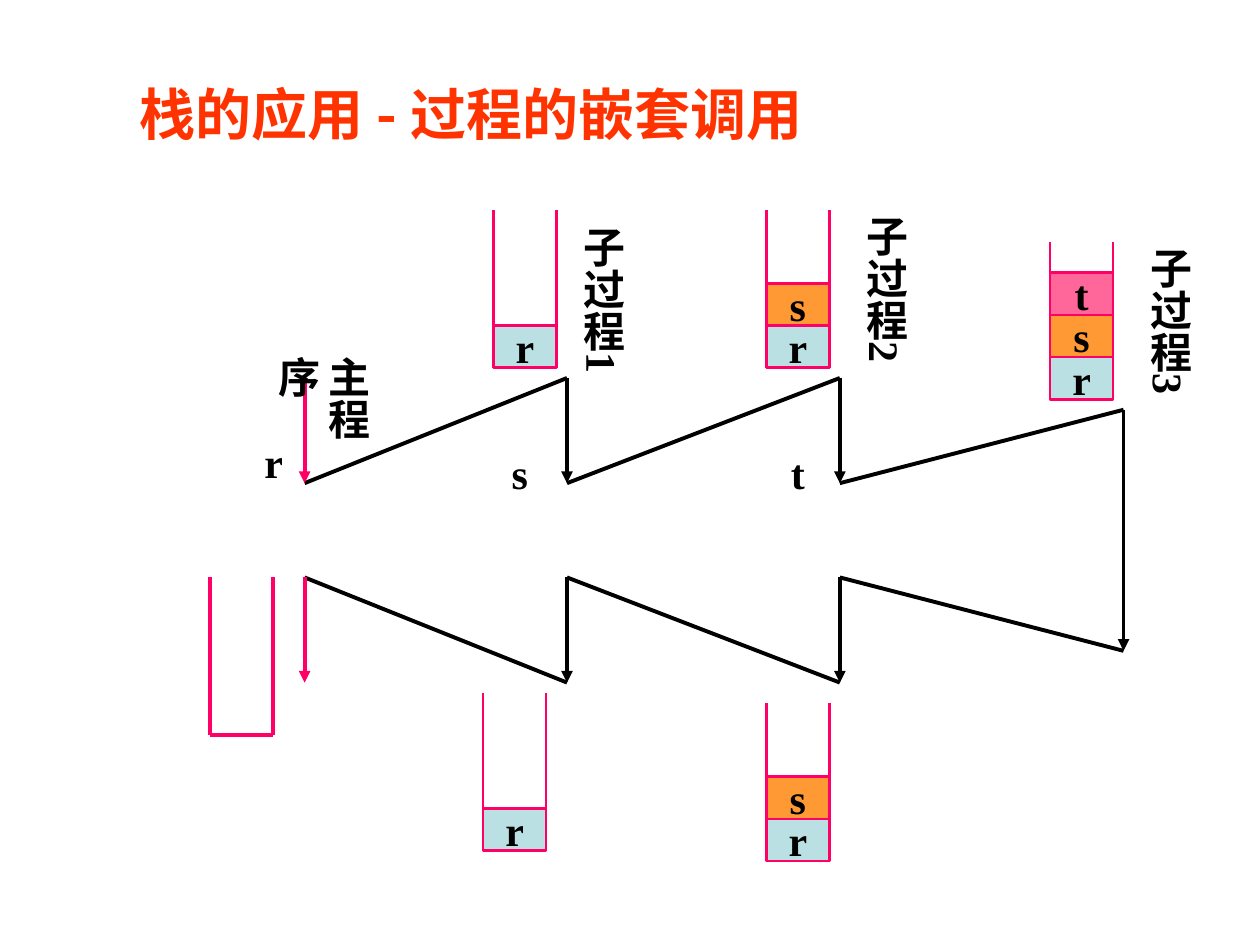
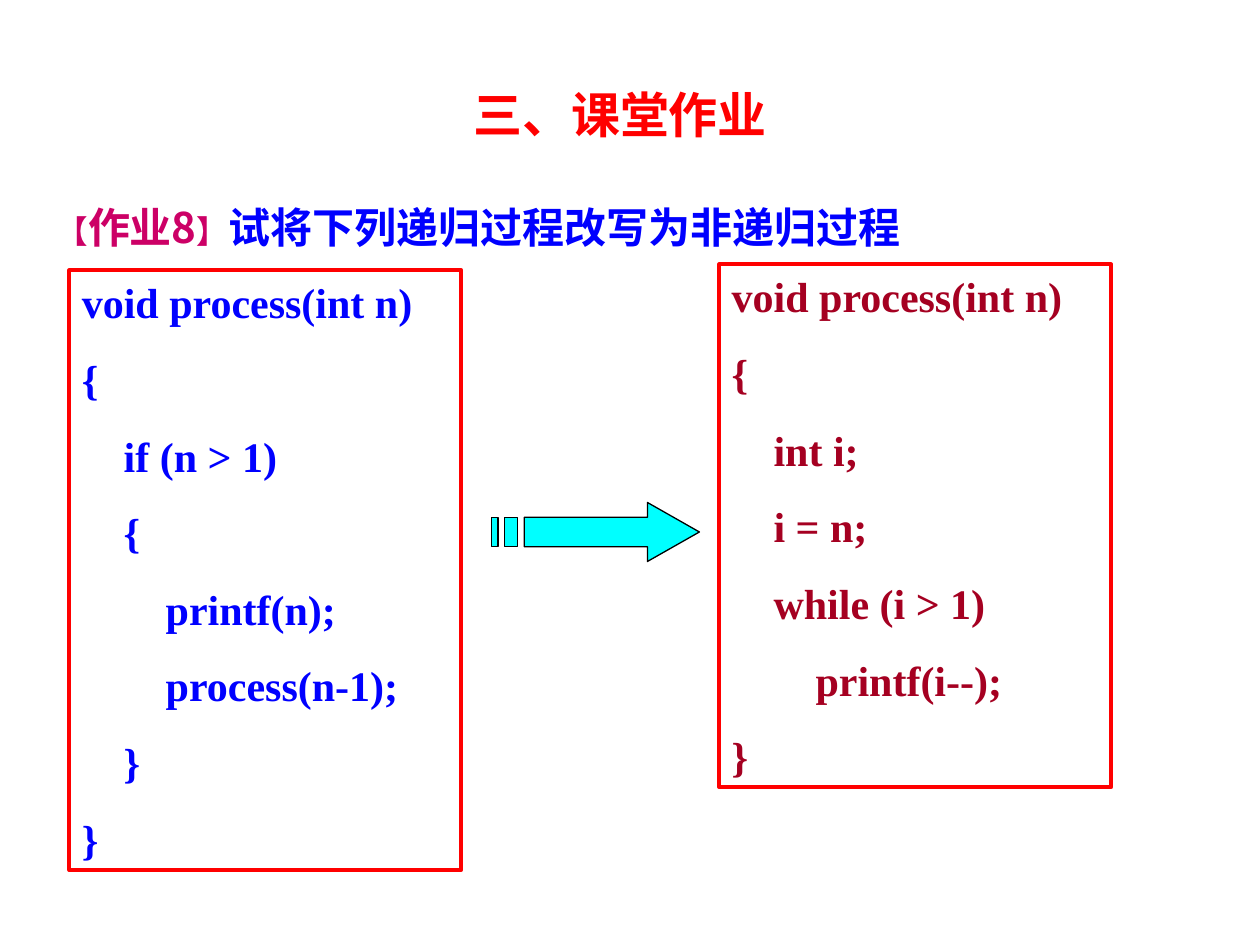
from lxml import etree
from pptx import Presentation
from pptx.dml.color import RGBColor
from pptx.enum import shapes, text
from pptx.oxml.ns import qn
from pptx.util import Cm, Pt

COLOURS = {
    "black": "000000", "rail": "FF0066", "heading": "FF3300", "red": "FF0000",
    "tag": "CC0066", "blue": "0000FF", "crimson": "A50021", "cyan": "00FFFF",
    "r": "BBE0E3", "s": "FF9933", "t": "FF6699",
}
SERIF, SANS = "Times New Roman", "Noto Sans CJK SC"
TITLE_ONLY = 5
CODE_GAP = Pt(15)
CENTER = text.PP_ALIGN.CENTER
LEFT = text.PP_ALIGN.LEFT

# Centimetres: time lines of the main program and the three procedures
MAIN, PROC1, PROC2, PROC3 = 6.14, 11.43, 16.93, 22.65
CALL_TOP, CALL_END = 7.62, 9.74
RETURN_TOP, RETURN_END = 11.64, 13.76
DEEP_TOP, DEEP_END = 8.26, 13.12
STACK_W, STACK_H, CELL_H = 1.27, 3.18, 0.85

RECURSIVE = """void process(int n)
{
    if (n > 1)
    {
        printf(n);
        process(n-1);
    }
}"""
ITERATIVE = """void process(int n)
{
    int i;
    i = n;
    while (i > 1)
        printf(i--);
}"""


def rgb(name):
    return RGBColor.from_string(COLOURS[name])


def add_run(paragraph, words, size=24, colour="black", font=SERIF):
    run = paragraph.add_run()
    run.text = words
    run.font.size, run.font.bold, run.font.name = Pt(size), True, font
    run.font.color.rgb = rgb(colour)
    east_asian = etree.SubElement(run._r.get_or_add_rPr(), qn("a:ea"))
    east_asian.set("typeface", SANS)


def set_frame(frame, anchor=text.MSO_ANCHOR.TOP, wrap=True):
    frame.margin_left = frame.margin_right = Cm(0.25)
    frame.margin_top = frame.margin_bottom = Cm(0.13)
    frame.vertical_anchor, frame.word_wrap = anchor, wrap
    frame.auto_size = text.MSO_AUTO_SIZE.NONE


def set_title(slide, box, words, size, colour, align, indent=0.0):
    title = slide.shapes.title
    title.left, title.top, title.width, title.height = map(Cm, box)
    set_frame(title.text_frame)
    title.text_frame.margin_left = Cm(0.25 + indent)
    paragraph = title.text_frame.paragraphs[0]
    paragraph.alignment = align
    add_run(paragraph, words, size, colour, SANS)


def add_label(slide, box, words, align=LEFT, vertical=False):
    label = slide.shapes.add_textbox(*map(Cm, box))
    frame = label.text_frame
    set_frame(frame)
    if vertical:
        frame.margin_left = frame.margin_right = Cm(0.13)
        frame.margin_top = frame.margin_bottom = Cm(0.25)
        frame._txBody.bodyPr.set("vert", "eaVert")
    frame.auto_size = text.MSO_AUTO_SIZE.SHAPE_TO_FIT_TEXT
    frame.paragraphs[0].alignment = align
    add_run(frame.paragraphs[0], words)


def add_line(slide, start, end, colour="black", weight=2.25, arrow=False):
    line = slide.shapes.add_connector(
        shapes.MSO_CONNECTOR.STRAIGHT, *map(Cm, start + end))
    line.line.color.rgb = rgb(colour)
    line.line.width = Pt(weight)
    if arrow:
        head = etree.SubElement(line.line._get_or_add_ln(), qn("a:tailEnd"))
        head.set("type", "triangle")
    etree.SubElement(line._element.spPr, qn("a:effectLst"))


def add_stack(slide, left, top, items="", weight=1.5):
    """Draw an open-topped stack; items run from the bottom upwards."""
    right, bottom = left + STACK_W, top + STACK_H
    for x in (left, right):
        add_line(slide, (x, bottom), (x, top), "rail", weight)
    if not items:
        add_line(slide, (left, bottom), (right, bottom), "rail", weight)
    for level, item in enumerate(items, 1):
        cell = slide.shapes.add_shape(
            shapes.MSO_SHAPE.RECTANGLE, Cm(left), Cm(bottom - level * CELL_H),
            Cm(STACK_W), Cm(CELL_H))
        cell.shadow.inherit = False
        cell.fill.solid()
        cell.fill.fore_color.rgb = rgb(item)
        cell.line.color.rgb = rgb("rail")
        cell.line.width = Pt(weight)
        set_frame(cell.text_frame, text.MSO_ANCHOR.MIDDLE, wrap=False)
        cell.text_frame.paragraphs[0].alignment = CENTER
        add_run(cell.text_frame.paragraphs[0], item)


def add_call_flow(slide):
    """Draw the calls going right and the returns coming back left."""
    columns = (MAIN, PROC1, PROC2, PROC3)
    call_tops = (CALL_TOP, CALL_TOP, DEEP_TOP)
    return_ends = (RETURN_END, RETURN_END, DEEP_END)
    for caller, callee, top, end in zip(columns, columns[1:], call_tops, return_ends):
        add_line(slide, (caller, CALL_END), (callee, top))
        add_line(slide, (callee, end), (caller, RETURN_TOP))
    for x, colour in ((MAIN, "rail"), (PROC1, "black"), (PROC2, "black")):
        add_line(slide, (x, CALL_TOP), (x, CALL_END), colour, arrow=True)
        add_line(slide, (x, RETURN_TOP), (x, RETURN_END), colour, arrow=True)
    add_line(slide, (PROC3, DEEP_TOP), (PROC3, DEEP_END), arrow=True)


def add_procedure(slide, x, top, name, items, label_shift):
    """Place a procedure's stack and vertical name above its time line."""
    add_stack(slide, x - 1.48, top - 3.39, items)
    dx, dy = label_shift
    add_label(slide, (x + dx, top + dy, 1.52, 3.81), name, CENTER, vertical=True)


def nested_calls_slide(prs):
    slide = prs.slides.add_slide(prs.slide_layouts[TITLE_ONLY])
    set_title(slide, (1.3, 1.47, 23.62, 1.65), "栈的应用 - 过程的嵌套调用",
              32, "heading", LEFT, indent=1.27)
    add_call_flow(slide)
    add_label(slide, (MAIN, 6.93, 1.52, 2.97), "主程序", vertical=True)
    add_procedure(slide, PROC1, CALL_TOP, "子过程1", "r", (-0.15, -3.31))
    add_procedure(slide, PROC2, CALL_TOP, "子过程2", "rs", (0.05, -3.52))
    add_procedure(slide, PROC3, DEEP_TOP, "子过程3", "rst", (0.05, -3.52))
    add_label(slide, (5.08, 8.68, 0.85, 1.27), "r")
    add_label(slide, (9.74, 8.89, 1.48, 1.27), "s", CENTER)
    add_label(slide, (15.45, 8.89, 1.27, 1.27), "t", CENTER)
    add_stack(slide, 4.23, RETURN_TOP, weight=2.25)
    add_stack(slide, 9.74, 13.97, "r")
    add_stack(slide, 15.45, 14.18, "rs")


def add_code_box(slide, box, code, colour):
    panel = slide.shapes.add_shape(shapes.MSO_SHAPE.RECTANGLE, *map(Cm, box))
    panel.shadow.inherit = False
    panel.fill.background()
    panel.line.color.rgb = rgb("red")
    panel.line.width = Pt(2.25)
    frame = panel.text_frame
    set_frame(frame)
    for number, code_line in enumerate(code.split("\n")):
        paragraph = frame.add_paragraph() if number else frame.paragraphs[0]
        paragraph.alignment = LEFT
        if number:
            paragraph.space_before = CODE_GAP
        add_run(paragraph, code_line, colour=colour)


def add_striped_arrow(slide, left, top, width, height):
    shaft_top, shaft_bottom = height / 4, height * 3 / 4
    neck = width * 0.75

    def bar(start, end):
        return [(start, shaft_top), (end, shaft_top),
                (end, shaft_bottom), (start, shaft_bottom)]

    body = [(0.66, shaft_top), (neck, shaft_top), (neck, 0), (width, height / 2),
            (neck, height), (neck, shaft_bottom), (0.66, shaft_bottom)]
    outlines = [body, bar(0, 0.13), bar(0.26, 0.52)]
    builder = slide.shapes.build_freeform(
        Cm(body[0][0]), Cm(body[0][1]), scale=1.0)
    for number, outline in enumerate(outlines):
        points = [(Cm(x), Cm(y)) for x, y in outline]
        if number:
            builder.move_to(*points[0])
        builder.add_line_segments(points[1:], close=True)
    arrow = builder.convert_to_shape(Cm(left), Cm(top))
    arrow.shadow.inherit = False
    arrow.fill.solid()
    arrow.fill.fore_color.rgb = rgb("cyan")
    arrow.line.color.rgb = rgb("black")
    arrow.line.width = Pt(0.75)


def add_task(slide, box):
    task = slide.shapes.add_textbox(*map(Cm, box))
    set_frame(task.text_frame)
    paragraph = task.text_frame.paragraphs[0]
    for words, size, colour, font in (
            ("【", 18, "tag", "Arial"), ("作业8", 24, "tag", SANS),
            ("】", 18, "tag", "Arial"),
            ("试将下列递归过程改写为非递归过程", 24, "blue", SANS)):
        add_run(paragraph, words, size, colour, font)


def homework_slide(prs):
    slide = prs.slides.add_slide(prs.slide_layouts[TITLE_ONLY])
    set_title(slide, (1.5, 1.57, 22, 1.45), "三、课堂作业", 28, "red", CENTER)
    add_task(slide, (0.89, 3.94, 24, 1.27))
    add_code_box(slide, (1.4, 5.45, 7.9, 12.09), RECURSIVE, "blue")
    add_code_box(slide, (14.5, 5.33, 7.9, 10.54), ITERATIVE, "crimson")
    add_striped_arrow(slide, 9.91, 10.13, 4.19, 1.19)


def main():
    prs = Presentation()
    prs.slide_width, prs.slide_height = Cm(25.4), Cm(19.05)
    nested_calls_slide(prs)
    homework_slide(prs)
    prs.save("out.pptx")


if __name__ == "__main__":
    main()
